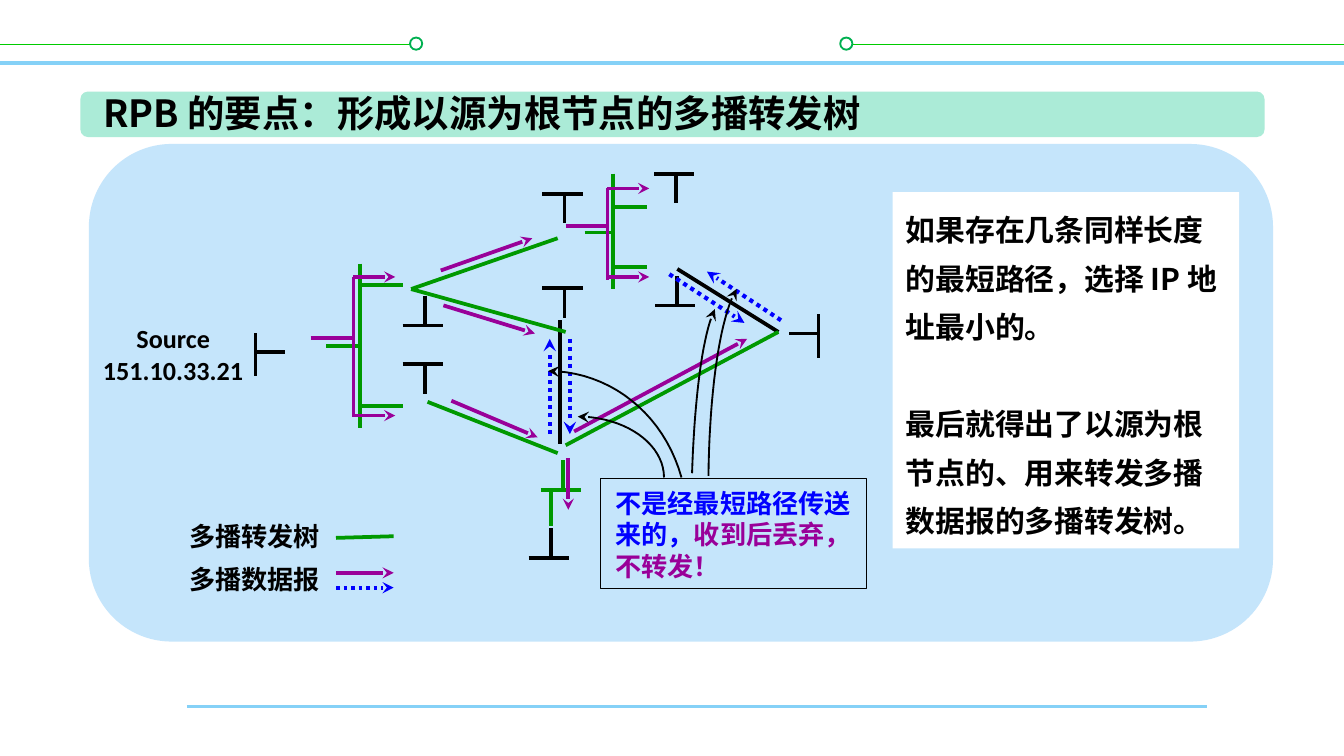
import dataclasses

import lxml.etree
import pptx
import pptx.dml.color
import pptx.enum.dml
import pptx.enum.shapes
import pptx.enum.text
import pptx.oxml.ns
import pptx.util

Cm = pptx.util.Cm
SHAPE = pptx.enum.shapes.MSO_SHAPE
ALIGN = pptx.enum.text.PP_ALIGN
qn = pptx.oxml.ns.qn


@dataclasses.dataclass(frozen=True)
class Theme:
    cjk: str = "Noto Sans CJK SC"
    latin: str = "Calibri"
    title: float = 20
    body: float = 16
    label: float = 14
    black: str = "000000"
    white: str = "FFFFFF"
    sky: str = "85D1F7"
    lime: str = "00CC00"
    ring: str = "00B050"
    panel: str = "C5E5FB"
    band: str = "ABEBD7"
    tree: str = "009900"
    packet: str = "990099"
    dropped: str = "0000FF"


T = Theme()


def rgb(color):
    return pptx.dml.color.RGBColor.from_string(color)


def add_arrow(shape):
    ln = shape.line._get_or_add_ln()
    lxml.etree.SubElement(ln, qn("a:tailEnd"), type="stealth")


def add_line(s, box, ends, color, width=2, arrow=False, dotted=False):
    x1, y1, x2, y2 = ends
    c = s.shapes.add_connector(
        pptx.enum.shapes.MSO_CONNECTOR.STRAIGHT,
        Cm(box[0] + x1), Cm(box[1] + y1), Cm(box[0] + x2), Cm(box[1] + y2))
    c.line.color.rgb = rgb(color)
    c.line.width = pptx.util.Pt(width)
    if dotted:
        c.line.dash_style = pptx.enum.dml.MSO_LINE.ROUND_DOT
    if arrow:
        add_arrow(c)
    lxml.etree.SubElement(c._element.spPr, qn("a:effectLst"))


def add_box(s, kind, box, fill=None, line=None, width=1):
    sp = s.shapes.add_shape(kind, *map(Cm, box))
    sp.shadow.inherit = False
    if fill:
        sp.fill.solid()
        sp.fill.fore_color.rgb = rgb(fill)
    else:
        sp.fill.background()
    if line:
        sp.line.color.rgb = rgb(line)
        sp.line.width = pptx.util.Pt(width)
    else:
        sp.line.fill.background()
    return sp


def set_frame(tf, wrap=True, inset=(0.25, 0.13)):
    tf.word_wrap = wrap
    tf.auto_size = pptx.enum.text.MSO_AUTO_SIZE.NONE
    tf.vertical_anchor = pptx.enum.text.MSO_ANCHOR.TOP
    tf.margin_left = tf.margin_right = Cm(inset[0])
    tf.margin_top = tf.margin_bottom = Cm(inset[1])


def set_paragraph(p, spacing, align=ALIGN.LEFT, before=0):
    p.alignment = align
    p.line_spacing = pptx.util.Pt(spacing)
    p.space_before = pptx.util.Pt(before)


def add_run(p, text, size, color=T.black, font=T.cjk):
    r = p.add_run()
    r.text = text
    r.font.size = pptx.util.Pt(size)
    r.font.bold = True
    r.font.color.rgb = rgb(color)
    r.font.name = font
    lxml.etree.SubElement(r.font._element, qn("a:ea"), typeface=font)


def add_label(s, box, at, lines, align, font=T.cjk):
    x, y, w, h = at
    tf = s.shapes.add_textbox(Cm(box[0] + x), Cm(box[1] + y), Cm(w), Cm(h)).text_frame
    set_frame(tf, inset=(0.28, 0.15))
    p = tf.paragraphs[0]
    set_paragraph(p, 17, align)
    for i, text in enumerate(lines):
        if i:
            p.add_line_break()
        add_run(p, text, T.label, font=font)


def add_host(s, box, x, y, dx, dy, color=T.black):
    bar = (x, y - 0.36, x, y + 0.46) if dx else (x - 0.42, y, x + 0.34, y)
    add_line(s, box, (x, y, x + dx, y + dy), color)
    add_line(s, box, bar, color)


def add_comb(s, box, trunk, inlet, prongs, color, arrow=False):
    x, top, bottom = trunk
    tip, *levels = prongs
    add_line(s, box, (x, top, x, bottom), color)
    add_line(s, box, (*inlet, x, inlet[1]), color)
    for y in levels:
        add_line(s, box, (x, y, tip, y), color, arrow=arrow)


def add_curve(s, box, *points, steps=20):
    def at(t):
        weights = ((1 - t) ** 3, 3 * t * (1 - t) ** 2, 3 * t * t * (1 - t), t ** 3)
        return tuple(Cm(box[i] + sum(w * p[i] for w, p in zip(weights, points)))
                     for i in (0, 1))

    fb = s.shapes.build_freeform(*at(0))
    fb.add_line_segments([at(i / steps) for i in range(1, steps + 1)], close=False)
    sp = fb.convert_to_shape()
    sp.shadow.inherit = False
    sp.fill.background()
    sp.line.color.rgb = rgb(T.black)
    sp.line.width = pptx.util.Pt(1)
    add_arrow(sp)


def add_frame(s, box):
    right = box[2]
    add_line(s, box, (3.53, 13.34, 22.81, 13.34), T.sky, 1.5)
    add_line(s, box, (0, 1.19, right, 1.19), T.sky)
    for start, end, ring in ((0, 7.87, 7.75), (15.88, right, 15.88)):
        add_line(s, box, (start, 0.84, end, 0.84), T.lime, 1)
        add_box(s, SHAPE.OVAL, (ring, 0.71, 0.23, 0.23), T.white, T.ring)


def add_title(s, box):
    x, y, w, h = box
    add_box(s, SHAPE.ROUNDED_RECTANGLE, box, T.band)
    title = s.shapes.title
    title.left, title.top, title.width, title.height = map(Cm, (x + 0.18, y - 0.16, w - 5, h + 0.26))
    s.shapes._spTree.append(title._element)
    set_frame(title.text_frame, wrap=False)
    p = title.text_frame.paragraphs[0]
    set_paragraph(p, 24)
    add_run(p, "RPB 的要点：形成以源为根节点的多播转发树", T.title)


def add_network(s, box):
    stem = 0.56
    for x, y in ((9.14, 8), (11.53, 3.23), (6.76, 3.61)):
        add_host(s, box, x, y, 0, -stem)
    for x, y in ((9.4, 2.9), (9.4, 1.12), (11.51, 0.74), (6.76, 4.34)):
        add_host(s, box, x, y, 0, stem)
    add_host(s, box, 14.2, 3.76, -stem, 0)
    add_host(s, box, 3.56, 4.11, stem, 0)
    add_host(s, box, 9.37, 6.71, 0, -stem, T.tree)

    for ends in ((9.32, 3.51, 9.32, 5.84), (11.53, 2.54, 13.44, 3.73)):
        add_line(s, box, ends, T.black)
    for ends in ((9.42, 5.87, 13.44, 3.73), (6.81, 5.05, 9.27, 6.02),
                 (9.14, 7.39, 9.14, 6.71), (6.5, 2.92, 9.27, 1.96),
                 (6.5, 2.92, 9.42, 3.73)):
        add_line(s, box, ends, T.tree)
    add_comb(s, box, (5.54, 2.44, 5.54), (4.9, 3.99), (6.35, 2.84, 5.13), T.tree)
    add_comb(s, box, (10.31, 0.74, 2.92), (9.78, 1.85), (10.95, 1.37, 2.51), T.tree)
    add_comb(s, box, (5.41, 2.69, 5.33), (4.6, 3.84), (6.2, 2.69, 5.31), T.packet, True)
    add_comb(s, box, (10.21, 1.02, 2.74), (9.42, 1.73), (11, 1.02, 2.69), T.packet, True)

    for ends in ((7.11, 3.23, 8.84, 3.76), (9.58, 5.61, 12.85, 3.86),
                 (7.06, 2.57, 8.79, 1.96), (7.26, 5.03, 8.89, 5.72),
                 (9.47, 6.12, 9.47, 7.09)):
        add_line(s, box, ends, T.packet, arrow=True)
    for ends in ((13.49, 3.51, 12.09, 2.59), (11.38, 2.64, 12.8, 3.56),
                 (9.5, 3.86, 9.5, 5.66), (9.12, 5.66, 9.12, 3.86)):
        add_line(s, box, ends, T.dropped, 2.25, arrow=True, dotted=True)

    add_label(s, box, (0.15, 3.4, 3.71, 1.5), ("Source", "151.10.33.21"), ALIGN.CENTER, T.latin)


def add_legend(s, box):
    for y, text in ((0, "多播转发树"), (0.81, "多播数据报")):
        add_label(s, box, (0, y, 3.61, 0.89), (text,), ALIGN.RIGHT)
    add_line(s, box, (3.63, 0.48, 4.72, 0.45), T.tree)
    add_line(s, box, (3.63, 1.14, 4.72, 1.14), T.packet, arrow=True)
    add_line(s, box, (3.63, 1.42, 4.72, 1.42), T.dropped, arrow=True, dotted=True)


def add_callout(s, box):
    tf = add_box(s, SHAPE.RECTANGLE, box, line=T.black, width=0.75).text_frame
    set_frame(tf, inset=(0.28, 0.15))
    p = tf.paragraphs[0]
    set_paragraph(p, 17)
    add_run(p, "不是经最短路径传送来的，", T.label, T.dropped)
    add_run(p, "收到后丢弃，不转发！", T.label, T.packet)
    add_curve(s, box, (1.2, -0.02), (1.2, -0.66), (0.46, -1.17), (-0.43, -1.17))
    add_curve(s, box, (1.53, -0.02), (1.2, -1.22), (0.18, -2.03), (-0.99, -2.03))
    add_curve(s, box, (1.73, -0.1), (1.78, -1.55), (1.93, -2.72), (2.16, -3.2))
    add_curve(s, box, (2.04, -0.05), (2.06, -1.67), (2.26, -3.05), (2.57, -3.58))


def add_notes_panel(s, box):
    tf = add_box(s, SHAPE.RECTANGLE, box, T.white).text_frame
    set_frame(tf)
    texts = ("如果存在几条同样长度的最短路径，选择 IP 地址最小的。",
             "最后就得出了以源为根节点的、用来转发多播数据报的多播转发树。")
    for i, text in enumerate(texts):
        p = tf.add_paragraph() if i else tf.paragraphs[0]
        set_paragraph(p, 26, before=26 * i)
        add_run(p, text, T.body)


def main():
    prs = pptx.Presentation()
    prs.slide_width, prs.slide_height = Cm(25.4), Cm(14.28)
    s = prs.slides.add_slide(prs.slide_layouts[5])
    add_frame(s, (0, 0, 25.4, 14.28))
    add_box(s, SHAPE.ROUNDED_RECTANGLE, (1.68, 2.72, 22.38, 9.4), T.panel)
    add_title(s, (1.52, 1.73, 22.38, 0.86))
    add_network(s, (1.27, 2.54))
    add_legend(s, (2.72, 9.68))
    add_callout(s, (11.35, 9.04, 5.03, 2.08))
    add_notes_panel(s, (16.87, 3.63, 6.55, 6.73))
    prs.save("out.pptx")


if __name__ == "__main__":
    main()
